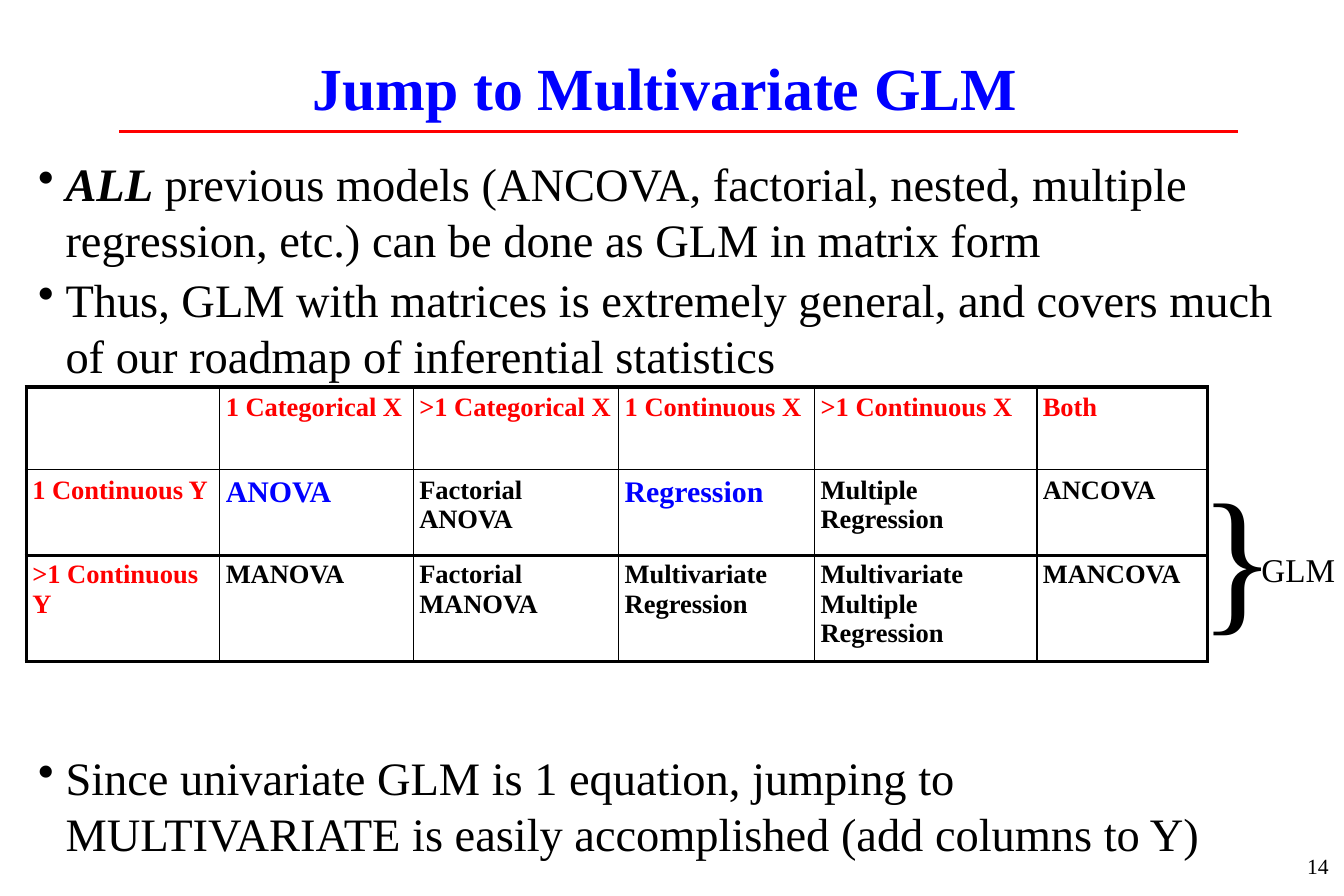
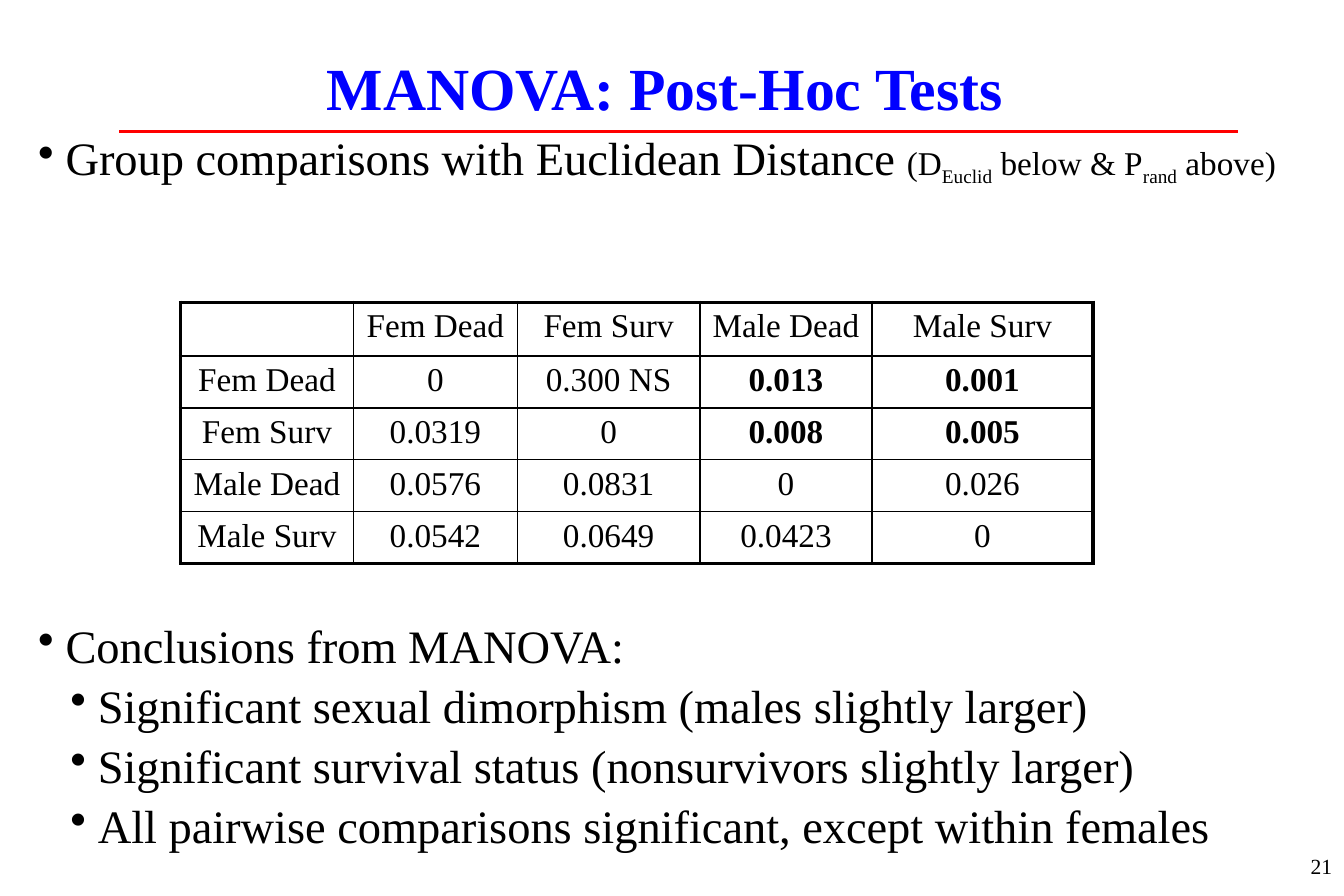
from dataclasses import dataclass

from lxml.etree import SubElement
from pptx import Presentation
from pptx.dml.color import RGBColor
from pptx.enum.shapes import MSO_CONNECTOR
from pptx.enum.text import MSO_ANCHOR, PP_ALIGN
from pptx.oxml.ns import qn
from pptx.util import Inches, Pt

FONT = "Times New Roman"
BLACK, RED, BLUE = "000000", "FF0000", "0000FF"
BULLET_HANG = 0.23
BULLET_GAP = 2.6
THIN, THICK = 1, 2.25


@dataclass(frozen=True)
class Box:
    """Position and size in inches."""
    left: float
    top: float
    width: float
    height: float


@dataclass(frozen=True)
class Style:
    """Look of a piece of text."""
    size: float
    color: str = BLACK
    bold: bool = False


@dataclass(frozen=True)
class Span:
    """A run that may differ from its paragraph."""
    text: str
    emphasis: bool = False
    size: float | None = None
    subscript: bool = False


@dataclass(frozen=True)
class Bullet:
    """One bulleted paragraph with the gap above it in points."""
    spans: tuple[Span, ...]
    gap: float = BULLET_GAP
    indent: float = BULLET_HANG


@dataclass(frozen=True)
class Grid:
    """A bordered table."""
    left: float
    top: float
    columns: tuple[float, ...]
    rows: tuple[float, ...]
    texts: tuple[tuple[str, ...], ...]
    alignment: PP_ALIGN


BODY_STYLE = Style(28)
TITLE_STYLE = Style(36, BLUE, True)
NUMBER_STYLE = Style(13)
LABEL_STYLE = Style(20)
BRACE_STYLE = Style(96)
HEADING_STYLE = Style(16, RED, True)
METHOD_STYLE = Style(16, BLACK, True)
KEY_METHOD_STYLE = Style(18, BLUE, True)

METHODS = Grid(
    0.22, 3.24, (1.62, 1.62, 1.72, 1.64, 1.86, 1.43), (0.69, 0.71, 0.89),
    (("", "1 Categorical X", ">1 Categorical X", "1 Continuous X", ">1 Continuous X", "Both"),
     ("1 Continuous Y", "ANOVA", "Factorial ANOVA", "Regression", "Multiple Regression", "ANCOVA"),
     (">1 Continuous Y", "MANOVA", "Factorial MANOVA", "Multivariate Regression",
      "Multivariate Multiple Regression", "MANCOVA")),
    PP_ALIGN.LEFT)

GROUPS = ("Fem Dead", "Fem Surv", "Male Dead", "Male Surv")
COMPARISONS = Grid(
    1.51, 2.53, (1.45, 1.37, 1.53, 1.44, 1.85), (0.45,) + (0.43,) * 4,
    (("", *GROUPS),
     (GROUPS[0], "0", "0.300 NS", "0.013", "0.001"),
     (GROUPS[1], "0.0319", "0", "0.008", "0.005"),
     (GROUPS[2], "0.0576", "0.0831", "0", "0.026"),
     (GROUPS[3], "0.0542", "0.0649", "0.0423", "0")),
    PP_ALIGN.CENTER)


def rgb(color: str) -> RGBColor:
    """Turn a hex string into a colour."""
    return RGBColor.from_string(color)


def format_paragraph(paragraph, style: Style, alignment=PP_ALIGN.LEFT) -> None:
    """Set the font and alignment of a paragraph."""
    paragraph.alignment = alignment
    font = paragraph.font
    font.name, font.size, font.bold = FONT, Pt(style.size), style.bold
    font.color.rgb = rgb(style.color)


def set_frame(frame, right_inset: float = 0.1, anchor=MSO_ANCHOR.TOP) -> None:
    """Set wrapping, insets and anchor of a text frame."""
    frame.word_wrap = True
    frame.vertical_anchor = anchor
    frame.margin_left, frame.margin_right = Inches(0.1), Inches(right_inset)
    frame.margin_top = frame.margin_bottom = Inches(0.05)


def add_box(slide, box: Box):
    """Add an empty text box and return its frame."""
    shape = slide.shapes.add_textbox(
        Inches(box.left), Inches(box.top), Inches(box.width), Inches(box.height))
    return shape.text_frame


def add_label(slide, box: Box, text: str, style: Style, right_inset: float = 0,
              anchor=MSO_ANCHOR.TOP, alignment=PP_ALIGN.LEFT) -> None:
    """Add a one-line text."""
    frame = add_box(slide, box)
    set_frame(frame, right_inset, anchor)
    frame.text = text
    format_paragraph(frame.paragraphs[0], style, alignment)


def add_rule(slide, left: float, right: float, top: float, color: str, width: float) -> None:
    """Add a horizontal line without shadow."""
    rule = slide.shapes.add_connector(
        MSO_CONNECTOR.STRAIGHT, Inches(left), Inches(top), Inches(right), Inches(top))
    rule.line.color.rgb = rgb(color)
    rule.line.width = Pt(width)
    SubElement(rule._element.spPr, qn("a:effectLst"))


def start_slide(presentation, title: str, number: str, number_left: float):
    """Add a slide with title, red rule and page number."""
    slide = presentation.slides.add_slide(presentation.slide_layouts[5])
    shape = slide.shapes.title
    shape.left, shape.top = Inches(0.43), Inches(0.1)
    shape.width, shape.height = Inches(10.27), Inches(1.25)
    shape.text_frame.text = title
    set_frame(shape.text_frame, anchor=MSO_ANCHOR.MIDDLE)
    format_paragraph(shape.text_frame.paragraphs[0], TITLE_STYLE, PP_ALIGN.CENTER)
    add_rule(slide, 1, 10.36, 1.1, RED, 1.5)
    add_label(slide, Box(number_left, 7, 2.34, 0.5), number, NUMBER_STYLE, 0.1,
              MSO_ANCHOR.MIDDLE, PP_ALIGN.RIGHT)
    return slide


def add_bullets(slide, box: Box, bullets: tuple[Bullet, ...]) -> None:
    """Add a bulleted list."""
    frame = add_box(slide, box)
    set_frame(frame)
    for index, bullet in enumerate(bullets):
        paragraph = frame.add_paragraph() if index else frame.paragraphs[0]
        format_paragraph(paragraph, BODY_STYLE)
        paragraph.space_before = Pt(bullet.gap)
        properties = paragraph._p.get_or_add_pPr()
        properties.set("marL", str(Inches(bullet.indent)))
        properties.set("indent", str(-Inches(BULLET_HANG)))
        mark = properties.makeelement(qn("a:buChar"), {"char": "•"})
        properties.find(qn("a:defRPr")).addprevious(mark)
        for span in bullet.spans:
            run = paragraph.add_run()
            run.text = span.text
            if span.emphasis:
                run.font.bold = run.font.italic = True
            if span.size:
                run.font.size = Pt(span.size)
            if span.subscript:
                run._r.get_or_add_rPr().set("baseline", "-25000")


def set_borders(cell, widths: dict[str, float]) -> None:
    """Draw the black borders of a cell."""
    properties = cell._tc.get_or_add_tcPr()
    for side, width in widths.items():
        line = SubElement(properties, qn(f"a:ln{side}"), w=str(Pt(width)))
        fill = SubElement(line, qn("a:solidFill"))
        SubElement(fill, qn("a:srgbClr"), val=BLACK)


def add_grid(slide, grid: Grid, style_of) -> None:
    """Add a table with a thick outline and thin inner lines."""
    last_row, last_column = len(grid.rows) - 1, len(grid.columns) - 1
    table = slide.shapes.add_table(
        len(grid.rows), len(grid.columns), Inches(grid.left), Inches(grid.top),
        Inches(sum(grid.columns)), Inches(sum(grid.rows))).table
    table.first_row = table.horz_banding = False
    for column, width in zip(table.columns, grid.columns):
        column.width = Inches(width)
    for row, height in zip(table.rows, grid.rows):
        row.height = Inches(height)
    for row, texts in enumerate(grid.texts):
        for column, text in enumerate(texts):
            cell = table.cell(row, column)
            cell.margin_left = cell.margin_right = Inches(0.05)
            cell.margin_top = cell.margin_bottom = Inches(0.05)
            outer = {"L": column == 0, "R": column == last_column,
                     "T": row == 0, "B": row == last_row}
            set_borders(cell, {side: THICK if edge else THIN for side, edge in outer.items()})
            cell.fill.background()
            cell.text = text
            format_paragraph(cell.text_frame.paragraphs[0], style_of(row, column, text),
                             grid.alignment)


def method_style(row: int, column: int, text: str) -> Style:
    """Choose the look of a cell in the table of methods."""
    if row == 0 or column == 0:
        return HEADING_STYLE
    return KEY_METHOD_STYLE if text in ("ANOVA", "Regression") else METHOD_STYLE


def comparison_style(row: int, column: int, text: str) -> Style:
    """Make the comparisons of females with males bold."""
    return Style(20, BLACK, row in (1, 2) and column in (3, 4))


def add_multivariate_slide(presentation) -> None:
    """Build the overview of general linear models."""
    slide = start_slide(presentation, "Jump to Multivariate GLM", "14", 8.88)
    add_bullets(slide, Box(0.22, 1.25, 10.71, 6.08), (
        Bullet((Span("ALL", emphasis=True),
                Span(" previous models (ANCOVA, factorial, nested, multiple regression, etc.) "
                     "can be done as GLM in matrix form")), gap=0),
        Bullet((Span("Thus, GLM with matrices is extremely general, and covers much of our "
                     "roadmap of inferential statistics"),)),
        Bullet((Span("Since univariate GLM is 1 equation, jumping to MULTIVARIATE is easily "
                     "accomplished (add columns to Y)"),), gap=221)))
    add_grid(slide, METHODS, method_style)
    add_rule(slide, 0.23, 10.12, 4.65, BLACK, 2)
    add_label(slide, Box(9.94, 3.76, 0.5, 1.7), "}", BRACE_STYLE)
    add_label(slide, Box(10.46, 4.55, 0.77, 0.43), "GLM", LABEL_STYLE)


def add_post_hoc_slide(presentation) -> None:
    """Build the pairwise comparisons and conclusions."""
    slide = start_slide(presentation, "MANOVA: Post-Hoc Tests", "21", 8.91)
    conclusions = (
        "Significant sexual dimorphism (males slightly larger)",
        "Significant survival status (nonsurvivors slightly larger)",
        "All pairwise comparisons significant, except within females")
    add_bullets(slide, Box(0.22, 1.03, 10.71, 6.27), (
        Bullet((Span("Group comparisons with Euclidean Distance "),
                Span("(D", size=20), Span("Euclid", size=20, subscript=True),
                Span(" below & P", size=20), Span("rand", size=20, subscript=True),
                Span(" above)", size=20)), gap=0),
        Bullet((Span("Conclusions from MANOVA:"),), gap=259),
        *(Bullet((Span(text),), indent=0.5) for text in conclusions)))
    add_grid(slide, COMPARISONS, comparison_style)


def main() -> None:
    """Build and save the presentation."""
    presentation = Presentation()
    presentation.slide_width, presentation.slide_height = Inches(11.25), Inches(7.5)
    add_multivariate_slide(presentation)
    add_post_hoc_slide(presentation)
    presentation.save("out.pptx")


if __name__ == "__main__":
    main()
